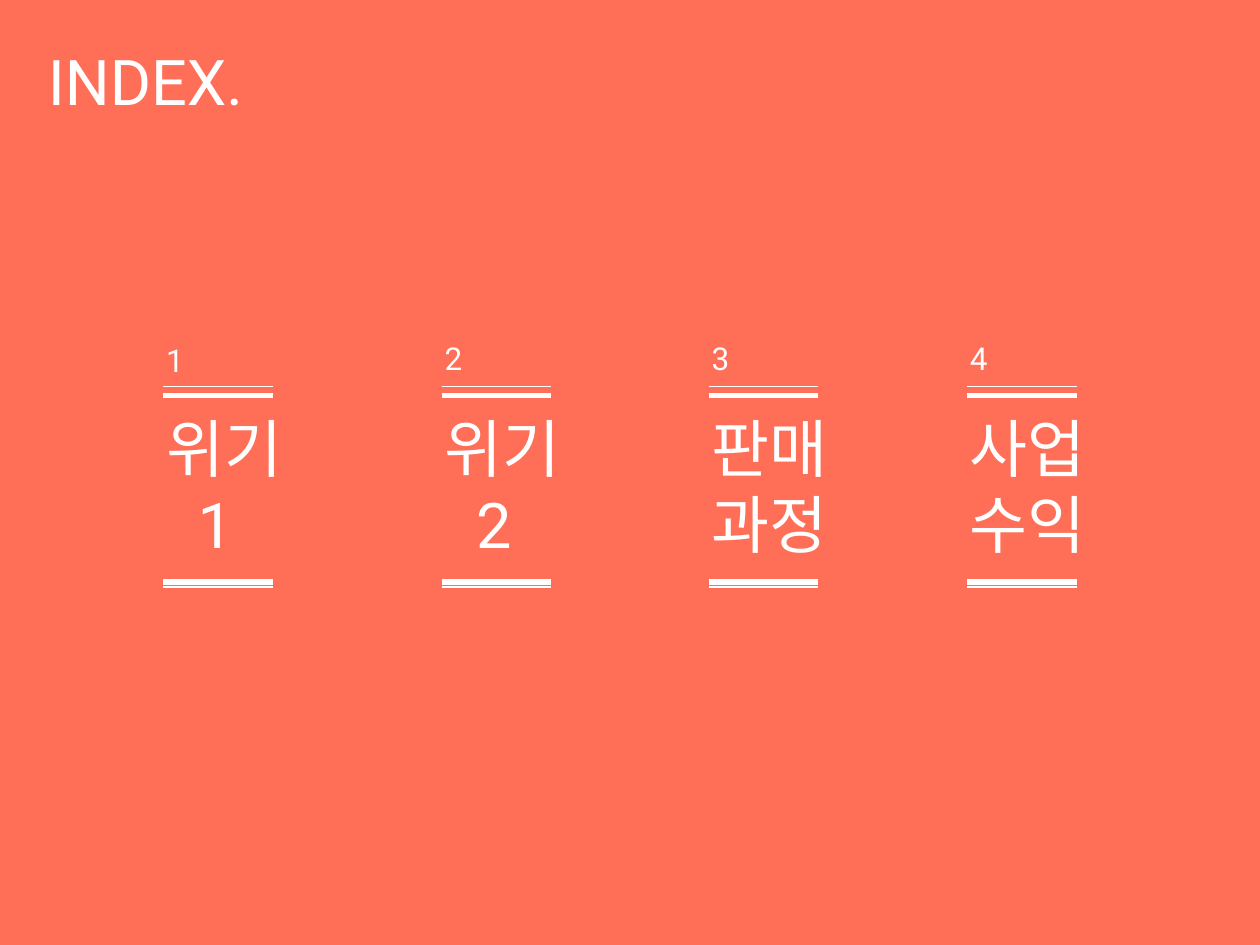
from lxml.etree import SubElement
from pptx import Presentation
from pptx.dml.color import RGBColor
from pptx.enum.shapes import MSO_CONNECTOR as CONN
from pptx.enum.text import MSO_ANCHOR as ANCHOR, MSO_AUTO_SIZE as AUTO, PP_ALIGN as ALIGN
from pptx.oxml.ns import qn
from pptx.util import Inches, Pt

FONT, WHITE, CORAL = "Roboto", "FFFFFF", "FF6E57"
BOX_W, RULE_W = 1.26, 0.87
INSET = 0.075  # rules start slightly inside the text box
DIGIT_INDENT = 0.25

# Column left, number top, number, heading paragraphs
COLUMNS = [
    (1.22, 2.66, "1", ["위기", "1"]),
    (3.43, 2.64, "2", ["위기", "2"]),
    (5.55, 2.64, "3", ["판매과정"]),
    (7.6, 2.64, "4", ["사업수익"]),
]
# Rule height on the slide and line width
RULES = [(3.07, 0.75), (3.14, 3), (4.62, 3), (4.66, 0.75)]


def colour(value):
    return RGBColor.from_string(value)


def write(sp, lines, size):
    tf = sp.text_frame
    tf.word_wrap = True
    tf.auto_size = AUTO.SHAPE_TO_FIT_TEXT
    tf.vertical_anchor = ANCHOR.TOP
    tf.text = "\n".join(lines)
    for p in tf.paragraphs:
        p.alignment = ALIGN.LEFT
        for r in p.runs:
            r.font.name, r.font.size = FONT, Pt(size)
            r.font.color.rgb = colour(WHITE)
            # Same typeface for the Korean letters
            SubElement(r.font._element, qn("a:ea")).set("typeface", FONT)
    return tf


def add_text(s, x, y, w, h, lines, size):
    return write(s.shapes.add_textbox(*map(Inches, (x, y, w, h))), lines, size)


def add_rule(s, x, y, width):
    line = s.shapes.add_connector(
        CONN.STRAIGHT, *map(Inches, (x, y, x + RULE_W, y)))
    line.line.color.rgb = colour(WHITE)
    line.line.width = Pt(width)
    SubElement(line._element.spPr, qn("a:effectLst"))


def add_title(s, x, y, w, h, text):
    sp = s.shapes.title
    sp.left, sp.top, sp.width, sp.height = map(Inches, (x, y, w, h))
    write(sp, [text], 36)


def add_column(s, x, number_y, number, heading):
    add_text(s, x, number_y, BOX_W, 0.4, [number], 18)
    tf = add_text(s, x, 3.2, BOX_W, 1.31, heading, 36)
    for p in tf.paragraphs[1:]:
        p._p.get_or_add_pPr().set("marL", str(Inches(DIGIT_INDENT)))
    for y, width in RULES:
        add_rule(s, x + INSET, y, width)


def main():
    prs = Presentation()
    prs.slide_width, prs.slide_height = Inches(10), Inches(7.5)
    s = prs.slides.add_slide(prs.slide_layouts[5])

    # Background
    fill = s.background.fill
    fill.solid()
    fill.fore_color.rgb = colour(CORAL)

    # Title and index columns
    add_title(s, 0.28, 0.29, 3.39, 0.71, "INDEX.")
    for column in COLUMNS:
        add_column(s, *column)
    prs.save("out.pptx")


if __name__ == "__main__":
    main()
